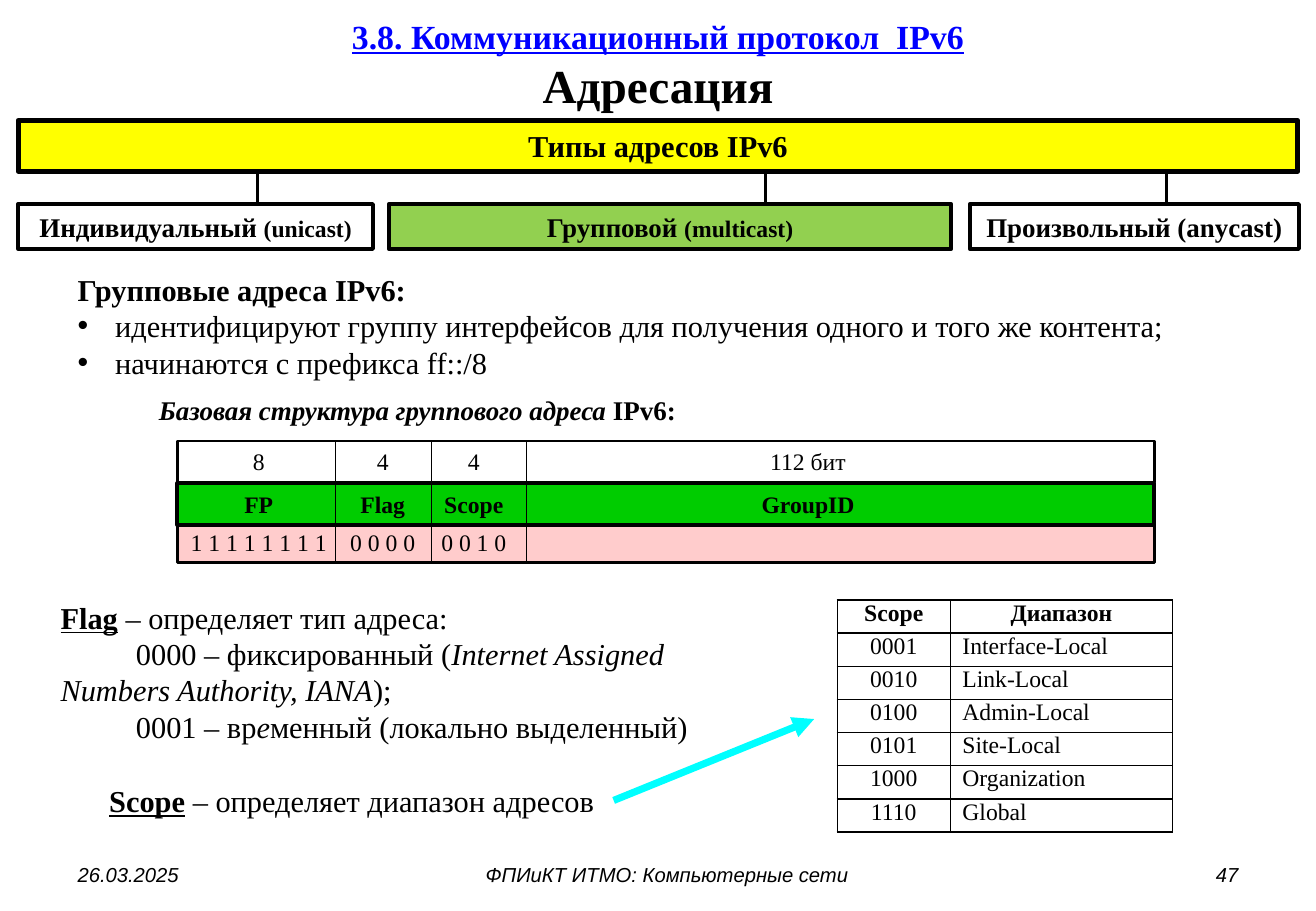
"""Builds a slide on IPv6 multicast addressing."""
from pptx import Presentation
from pptx import util as u
from pptx.dml.color import RGBColor
from pptx.enum import shapes, text
from pptx.oxml.ns import qn
from lxml import etree

COLORS = {"black": "000000", "blue": "0000FF", "yellow": "FFFF00", "lime": "92D050",
          "green": "00CC00", "pink": "FFCCCC", "cyan": "00FFFF"}
ALIGN = {"l": text.PP_ALIGN.LEFT, "c": text.PP_ALIGN.CENTER, "r": text.PP_ALIGN.RIGHT}
ANCHOR = {"t": text.MSO_ANCHOR.TOP, "m": text.MSO_ANCHOR.MIDDLE}


def rgb(name):
    return RGBColor.from_string(COLORS[name])


def box(*lengths):
    return [u.Inches(v) for v in lengths]


def sub(parent, tag, **attrs):
    return etree.SubElement(parent, qn(tag), attrs)


class Slide:
    def __init__(self, s, font="Times New Roman"):
        self.s, self.font = s, font

    def style(self, r, size, flags="", color="black", font=None):
        f = r.font
        f.name, f.size, f.color.rgb = font or self.font, u.Pt(size), rgb(color)
        f.bold, f.italic, f.underline = "b" in flags, "i" in flags, "u" in flags

    def para(self, p, runs, size, align="l", color="black", font=None):
        p.alignment = ALIGN[align]
        for words, flags, *own in runs:
            r = p.add_run()
            r.text = words
            self.style(r, own[0] if own else size, flags, color, font)

    def fill_text(self, sp, paras, size, align="l", anchor="t", font=None):
        tf = sp.text_frame
        tf.word_wrap, tf.vertical_anchor = True, ANCHOR[anchor]
        for i, runs in enumerate(paras):
            p = tf.add_paragraph() if i else tf.paragraphs[0]
            self.para(p, runs, size, align, font=font)
        return tf

    def label(self, at, paras, size, align="l", anchor="t", font=None):
        sp = self.s.shapes.add_textbox(*box(*at))
        return self.fill_text(sp, paras, size, align, anchor, font)

    def rect(self, at, runs, size, fill=None, width=2.25, align="c"):
        sp = self.s.shapes.add_shape(shapes.MSO_SHAPE.RECTANGLE, *box(*at))
        sp.shadow.inherit = False
        if fill:
            sp.fill.solid()
            sp.fill.fore_color.rgb = rgb(fill)
        else:
            sp.fill.background()
        sp.line.color.rgb, sp.line.width = rgb("black"), u.Pt(width)
        return self.fill_text(sp, [runs], size, align, "m")

    def line(self, x1, y1, x2, y2, width, color="black", arrow=False):
        c = self.s.shapes.add_connector(shapes.MSO_CONNECTOR.STRAIGHT, *box(x1, y1, x2, y2))
        c.line.color.rgb, c.line.width = rgb(color), u.Pt(width)
        if arrow:
            sub(c.line._get_or_add_ln(), "a:tailEnd", type="triangle")
        sub(c._element.spPr, "a:effectLst")

    def table(self, at, widths, rows, size):
        t = self.s.shapes.add_table(len(rows), len(widths), *box(*at)).table
        t.first_row = t.horz_banding = False
        for col, w in zip(t.columns, widths):
            col.width = u.Inches(w)
        for i, row in enumerate(rows):
            for j, words in enumerate(row):
                cell = t.cell(i, j)
                p = cell.text_frame.paragraphs[0]
                p.text, p.line_spacing = words, u.Pt(12)
                p.alignment = ALIGN["l" if i and j else "c"]
                self.style(p.runs[0], size, "" if i else "b")
                pr = cell._tc.get_or_add_tcPr()
                for side in ("a:lnL", "a:lnR", "a:lnT", "a:lnB"):
                    ln = sub(pr, side, w=str(u.Pt(1)))
                    sub(sub(ln, "a:solidFill"), "a:srgbClr", val=COLORS["black"])
                cell.fill.background()


def indent(p, left, first):
    pr = p._p.get_or_add_pPr()
    pr.set("marL", str(u.Inches(left)))
    pr.set("indent", str(u.Inches(first)))
    return pr


def main():
    prs = Presentation()
    prs.slide_width, prs.slide_height = box(10.83, 7.5)
    s = Slide(prs.slides.add_slide(prs.slide_layouts[6]))

    tf = s.label((0.54, 0.01, 9.75, 1.04),
                 [[("3.8. Коммуникационный протокол  IPv6", "bu", 20)], [("Адресация", "b")]],
                 28, "c", "m")
    tf.paragraphs[0].runs[0].font.color.rgb = rgb("blue")
    for x, w, words, align in ((0.54, 2.53, "26.03.2025", "l"),
                               (3.35, 4.28, "ФПИиКТ ИТМО: Компьютерные сети", "c"),
                               (7.76, 2.53, "47", "r")):
        s.label((x, 7.05, w, 0.3), [[(words, "i")]], 12, align, font="Arial")

    s.rect((0.15, 0.99, 10.53, 0.42), [("Типы адресов IPv6", "b")], 18, "yellow", 3)
    for x, w, link, fill, runs in (
            (0.15, 2.92, 2.12, None, [("Индивидуальный ", "b"), ("(unicast)", "b", 14)]),
            (3.2, 4.63, 6.3, "lime", [("Групповой ", "b"), ("(multicast)", "b", 14)]),
            (7.98, 2.71, 9.6, None, [("Произвольный (anycast)", "b")])):
        s.rect((x, 1.68, w, 0.37), runs, 16, fill)
        s.line(link, 1.41, link, 1.68, 1.5)

    tf = s.label((0.54, 2.18, 9.6, 1.01), [
        [("Групповые адреса IPv6:", "b")],
        [("идентифицируют группу интерфейсов для получения одного и того же контента;", "")],
        [("начинаются с префикса ff::/8", "")]], 18)
    for p in tf.paragraphs[1:]:
        pr = indent(p, 0.31, -0.31)
        sub(pr, "a:buFont", typeface="Arial")
        sub(pr, "a:buChar", char="•")

    s.label((1.21, 3.19, 6.73, 0.37),
            [[("Базовая структура группового адреса", "bi"), (" IPv6:", "b")]], 16)
    for y, fill, width, flags, fields in (
            (4.29, "pink", 1.5, "", ("1 1 1 1 1 1 1 1", "0 0 0 0", "0 0 1 0")),
            (3.63, None, 1.5, "", ("8", "4", "4", "112 бит")),
            (3.98, "green", 2.25, "b", ("FP", "Flag", "Scope", "GroupID"))):
        words = "".join("\t" + field for field in fields)
        tf = s.rect((1.46, y, 8.04, 0.34), [(words, flags)], 14, fill, width, "l")
        tf.margin_left = tf.margin_right = u.Inches(0.02)
        tabs = sub(tf.paragraphs[0]._p.get_or_add_pPr(), "a:tabLst")
        for pos in (0.65, 1.67, 2.42, 5.17):
            sub(tabs, "a:tab", pos=str(u.Inches(pos)), algn="ctr")
    for x in (2.76, 3.55, 4.33):
        s.line(x, 3.63, x, 4.63, 0.75)

    tf = s.label((0.4, 4.88, 5.41, 1.31), [
        [("Flag", "bu"), (" ", "b"), ("– определяет тип адреса:", "")],
        [("0000 – фиксированный (", ""),
         ("Internet Assigned Numbers Authority, IANA", "i"), (");", "")],
        [("0001 – вр", ""), ("е", "i"), ("менный (локально выделенный)", "")]], 18)
    for p in tf.paragraphs[1:]:
        indent(p, 0, 0.62)
    s.label((0.8, 6.39, 4.25, 0.4),
            [[("Scope", "bu"), (" ", "b"), ("– определяет диапазон адресов", "")]], 18)
    s.table((6.89, 4.94, 2.76, 1.91), (0.93, 1.83),
            (("Scope", "Диапазон"), ("0001", "Interface-Local"), ("0010", "Link-Local"),
             ("0100", "Admin-Local"), ("0101", "Site-Local"), ("1000", "Organization"),
             ("1110", "Global")), 14)
    s.line(5.05, 6.59, 6.7, 5.92, 4.25, "cyan", True)
    prs.save("out.pptx")


if __name__ == "__main__":
    main()
